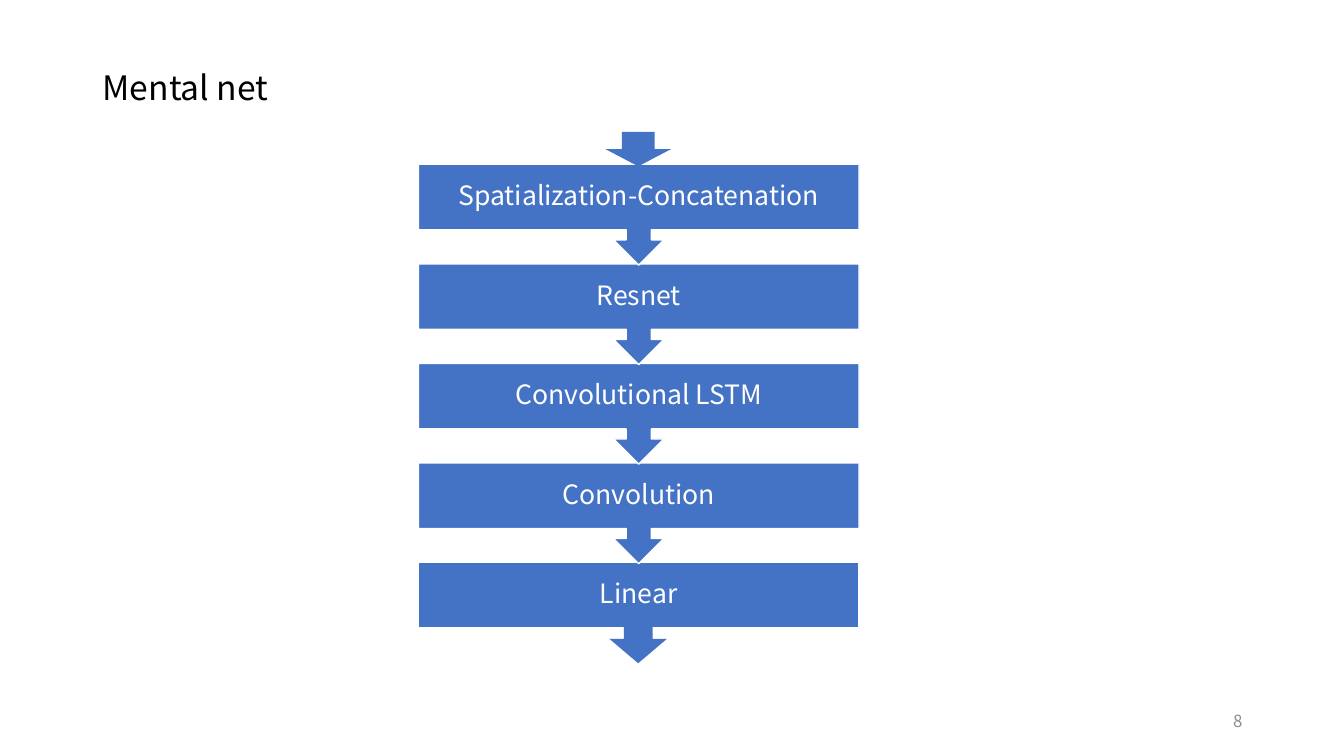
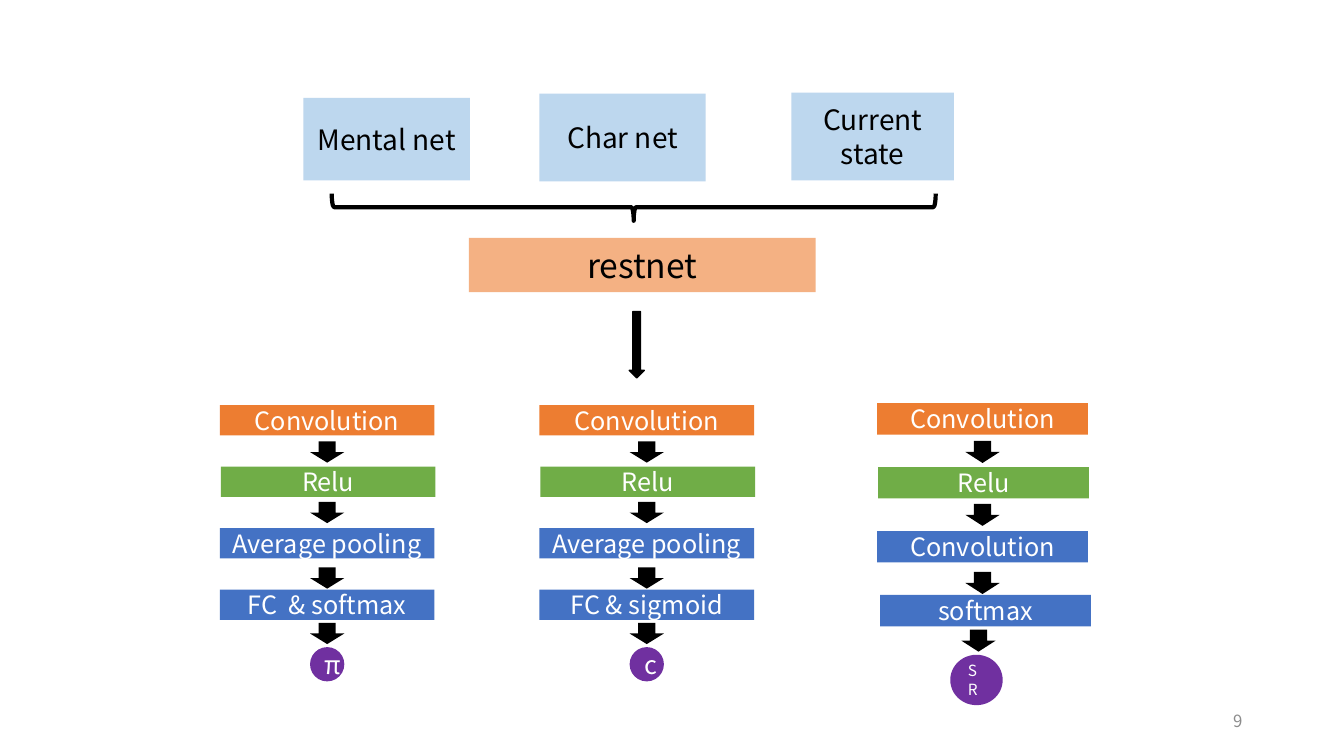
import dataclasses

import pptx
import pptx.dml.color
import pptx.enum.shapes
import pptx.enum.text
import pptx.util

Inches = pptx.util.Inches
RGBColor = pptx.dml.color.RGBColor
SHAPE = pptx.enum.shapes.MSO_SHAPE
ALIGN = pptx.enum.text.PP_ALIGN
MIDDLE = pptx.enum.text.MSO_ANCHOR.MIDDLE

# Shared style
FONT = "Noto Sans CJK SC"
BLACK = RGBColor(0x00, 0x00, 0x00)
WHITE = RGBColor(0xFF, 0xFF, 0xFF)
GREY = RGBColor(0x8C, 0x8C, 0x8C)
BLUE = RGBColor(0x44, 0x72, 0xC4)
GREEN = RGBColor(0x70, 0xAD, 0x47)
ORANGE = RGBColor(0xED, 0x7D, 0x31)
PURPLE = RGBColor(0x70, 0x30, 0xA0)
LIGHT_BLUE = RGBColor(0xBD, 0xD7, 0xEE)
LIGHT_ORANGE = RGBColor(0xF4, 0xB1, 0x83)


@dataclasses.dataclass
class HeadColumn:
    """One output head; the shifts are sideways offsets of its last parts."""
    left: float
    top: float
    width: float
    layers: tuple
    output: str
    scale: float = 1.0
    output_size: tuple = (0.34, 0.34)
    output_font: int = 18
    output_align: ALIGN = ALIGN.CENTER
    last_layer_shift: float = 0.0
    last_arrow_shift: float = 0.0
    output_shift: float = 0.0


def write_text(shape, text, size, color, align=ALIGN.CENTER, spacing=None):
    frame = shape.text_frame
    frame.word_wrap = True
    frame.vertical_anchor = MIDDLE
    paragraph = frame.paragraphs[0]
    paragraph.alignment = align
    if spacing:
        paragraph.line_spacing = spacing
    run = paragraph.add_run()
    run.text = text
    run.font.name = FONT
    run.font.size = pptx.util.Pt(size)
    run.font.color.rgb = color


def add_text(slide, box, text, size, color, align, spacing=None):
    shape = slide.shapes.add_textbox(*map(Inches, box))
    write_text(shape, text, size, color, align, spacing)
    return shape


def add_shape(slide, kind, box, fill=None, line=None, line_width=1):
    shape = slide.shapes.add_shape(kind, *map(Inches, box))
    shape.shadow.inherit = False
    if fill is None:
        shape.fill.background()
    else:
        shape.fill.solid()
        shape.fill.fore_color.rgb = fill
    if line is None:
        shape.line.fill.background()
    else:
        shape.line.color.rgb = line
        shape.line.width = pptx.util.Pt(line_width)
    return shape


def add_title(slide, text):
    add_text(slide, (0.92, 0.47, 11.5, 0.83), text, 24, BLACK, ALIGN.LEFT, 0.9)


def add_page_number(slide, number):
    add_text(slide, (9.42, 6.95, 3, 0.4), str(number), 12, GREY, ALIGN.RIGHT)


def add_process(slide, left, top, width, height, steps):
    """Stack of steps, each pointing to the next; drawn from the bottom up."""
    box_height = 0.65
    pitch = (height - box_height) / (len(steps) - 1)
    for index in reversed(range(len(steps))):
        y = top + index * pitch
        if index == len(steps) - 1:
            add_shape(slide, SHAPE.RECTANGLE, (left, y, width, box_height),
                      BLUE, WHITE)
        else:
            callout = add_shape(slide, SHAPE.UP_ARROW_CALLOUT,
                                (left, y, width, 1), BLUE, WHITE)
            callout.rotation = 180
        label = add_text(slide, (left, y, width, box_height), steps[index],
                         19, WHITE, ALIGN.CENTER, 0.9)
        frame = label.text_frame
        frame.margin_left = frame.margin_right = Inches(0.15)
        frame.margin_top = frame.margin_bottom = Inches(0.15)

    # Arrows out of and into the stack
    center = left + width / 2
    arrow_out = add_shape(slide, SHAPE.DOWN_ARROW,
                          (center - 0.29, top + height - 0.06, 0.57, 0.41), BLUE)
    arrow_out.adjustments[1] = 0.59
    add_shape(slide, SHAPE.DOWN_ARROW,
              (center - 0.33, top - 0.32, 0.65, 0.34), BLUE)


def add_inputs(slide, left, top):
    """Three inputs, gathered by a brace into one network."""
    inputs = (
        ("Mental net", (0, 0.05, 1.65, 0.82)),
        ("Char net", (2.34, 0.01, 1.65, 0.87)),
        ("Current state", (4.84, 0, 1.61, 0.87)),
    )
    for text, (x, y, width, height) in inputs:
        shape = add_shape(slide, SHAPE.RECTANGLE,
                          (left + x, top + y, width, height), LIGHT_BLUE)
        write_text(shape, text, 20, BLACK)

    brace = add_shape(slide, SHAPE.LEFT_BRACE,
                      (left + 3.14, top - 1.86, 0.27, 5.99), None, BLACK, 3)
    brace.rotation = 270
    network = add_shape(slide, SHAPE.RECTANGLE,
                        (left + 1.64, top + 1.44, 3.44, 0.54), LIGHT_ORANGE)
    write_text(network, "restnet", 24, BLACK)
    add_shape(slide, SHAPE.DOWN_ARROW,
              (left + 3.23, top + 2.17, 0.15, 0.66), BLACK, BLACK)


def add_head_column(slide, column):
    """Four layers with an arrow after each, ending in an output circle."""
    scale = column.scale
    center = column.left + column.width / 2
    layer_shifts = (0, 0.01, 0, column.last_layer_shift)
    arrow_shifts = (0, 0, 0, column.last_arrow_shift)
    arrow_tops = (0.36, 0.96, 1.61, 2.16)
    colors = (ORANGE, GREEN, BLUE, BLUE)

    for index, text in enumerate(column.layers):
        layer = add_shape(slide, SHAPE.RECTANGLE,
                          (column.left + layer_shifts[index],
                           column.top + index * 0.61 * scale,
                           column.width, 0.3 * scale), colors[index])
        write_text(layer, text, 18, WHITE)
        add_shape(slide, SHAPE.DOWN_ARROW,
                  (center - 0.17 + arrow_shifts[index],
                   column.top + arrow_tops[index] * scale,
                   0.34, 0.21 * scale), BLACK)

    width, height = column.output_size
    output = add_shape(slide, SHAPE.OVAL,
                       (center - width / 2 + column.output_shift,
                        column.top + 2.4 * scale, width, height), PURPLE)
    write_text(output, column.output, column.output_font, WHITE,
               column.output_align)


def build_mental_net_slide(slide):
    add_title(slide, "Mental net")
    add_process(slide, 4.15, 1.63, 4.37, 4.6,
                ("Spatialization-Concatenation", "Resnet",
                 "Convolutional LSTM", "Convolution", "Linear"))
    add_page_number(slide, 8)


def build_prediction_slide(slide):
    add_inputs(slide, 3.01, 0.92)
    columns = (
        HeadColumn(2.18, 4.02, 2.13,
                   ("Convolution", "Relu", "Average pooling", "FC  & softmax"),
                   "π"),
        HeadColumn(5.35, 4.02, 2.13,
                   ("Convolution", "Relu", "Average pooling", "FC & sigmoid"),
                   "c"),
        HeadColumn(8.7, 4, 2.09,
                   ("Convolution", "Relu", "Convolution", "softmax"),
                   "SR", scale=1.04, output_size=(0.52, 0.5), output_font=11,
                   output_align=ALIGN.LEFT, last_layer_shift=0.03,
                   last_arrow_shift=-0.04, output_shift=-0.06),
    )
    for column in columns:
        add_head_column(slide, column)
    add_page_number(slide, 9)


def main():
    presentation = pptx.Presentation()
    presentation.slide_width = Inches(13.33)
    presentation.slide_height = Inches(7.5)
    blank_layout = presentation.slide_layouts[6]
    for build in (build_mental_net_slide, build_prediction_slide):
        build(presentation.slides.add_slide(blank_layout))
    presentation.save("out.pptx")


if __name__ == "__main__":
    main()
